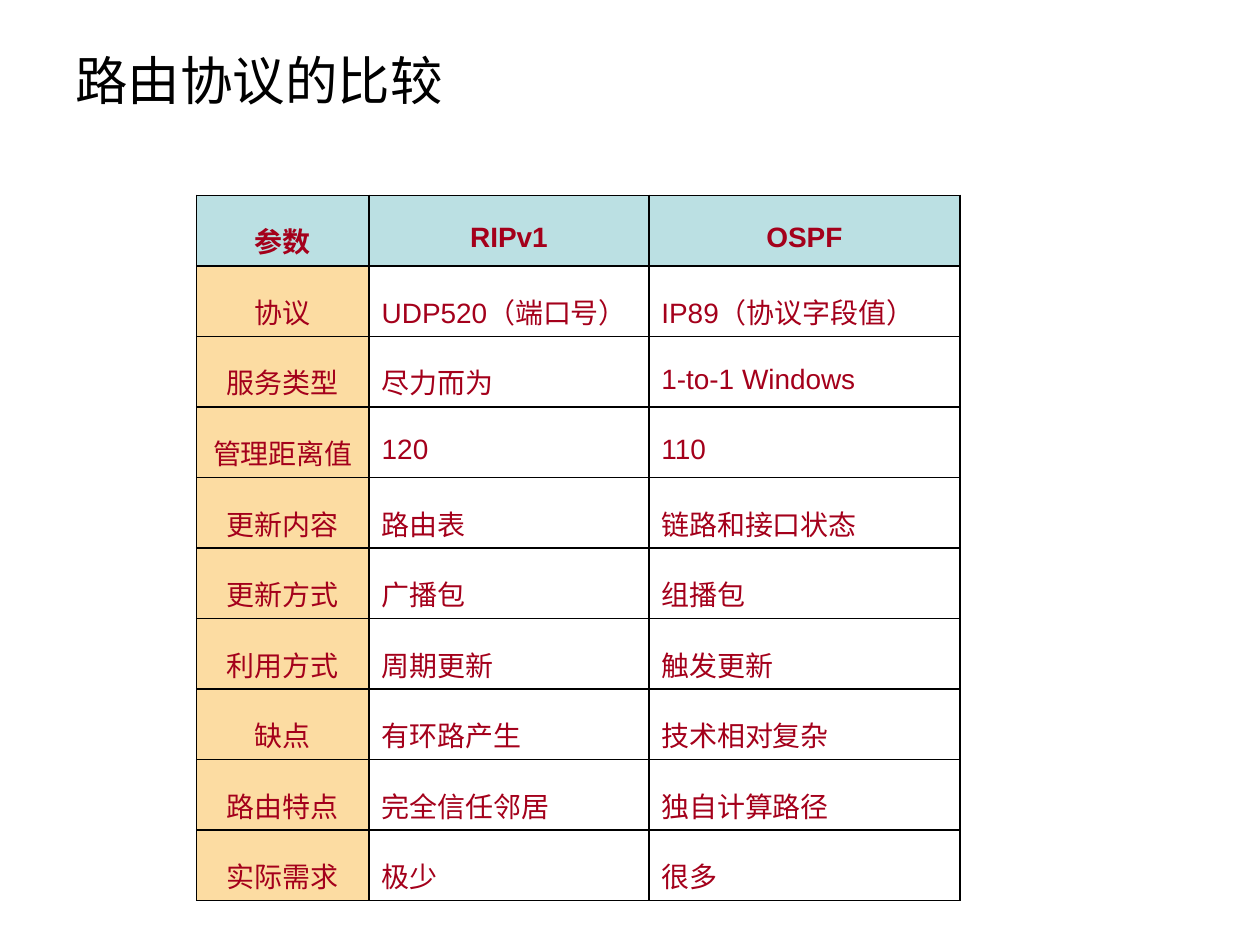
from lxml import etree
from pptx import Presentation
from pptx.dml.color import RGBColor
from pptx.enum import text
from pptx.oxml import ns
from pptx.util import Inches, Pt

BLACK = RGBColor(0x00, 0x00, 0x00)
RED = RGBColor(0xA4, 0x00, 0x1B)
HEADER_BLUE = RGBColor(0xBB, 0xE0, 0xE3)
LABEL_ORANGE = RGBColor(0xFC, 0xDC, 0xA2)

TITLE = "路由协议的比较"
PROTOCOLS = [
    ("参数", "RIPv1", "OSPF"),
    ("协议", "UDP520（端口号）", "IP89（协议字段值）"),
    ("服务类型", "尽力而为", "1-to-1 Windows"),
    ("管理距离值", "120", "110"),
    ("更新内容", "路由表", "链路和接口状态"),
    ("更新方式", "广播包", "组播包"),
    ("利用方式", "周期更新", "触发更新"),
    ("缺点", "有环路产生", "技术相对复杂"),
    ("路由特点", "完全信任邻居", "独自计算路径"),
    ("实际需求", "极少", "很多"),
]
COLUMN_WIDTHS = [1.37, 2.22, 2.47]
ROW_HEIGHT = 0.56


def write(frame, words, size, color, bold=False, align=text.PP_ALIGN.LEFT, spacing=1.0):
    frame.word_wrap = True
    paragraph = frame.paragraphs[0]
    paragraph.alignment = align
    paragraph.line_spacing = spacing
    run = paragraph.add_run()
    run.text = words
    run.font.name = "Arial"
    run.font.size = Pt(size)
    run.font.bold = bold
    run.font.color.rgb = color


def add_borders(cell, color, width):
    properties = cell._tc.get_or_add_tcPr()
    for side in ("lnL", "lnR", "lnT", "lnB"):
        line = etree.SubElement(properties, ns.qn(f"a:{side}"), w=str(Pt(width)))
        fill = etree.SubElement(line, ns.qn("a:solidFill"))
        etree.SubElement(fill, ns.qn("a:srgbClr"), val=str(color))


def fill_cell(cell, words, is_header, is_label):
    cell.vertical_anchor = text.MSO_ANCHOR.MIDDLE
    cell.margin_left = cell.margin_right = Inches(0.1)
    cell.margin_top = cell.margin_bottom = Inches(0.04)
    centered = is_header or is_label
    write(cell.text_frame, words, 16, RED, bold=is_header, spacing=1.5,
          align=text.PP_ALIGN.CENTER if centered else text.PP_ALIGN.LEFT)
    add_borders(cell, BLACK, 1)
    if centered:
        cell.fill.solid()
        cell.fill.fore_color.rgb = HEADER_BLUE if is_header else LABEL_ORANGE
    else:
        cell.fill.background()


def main():
    deck = Presentation()
    deck.slide_width, deck.slide_height = Inches(10), Inches(7.5)
    slide = deck.slides.add_slide(deck.slide_layouts[6])

    title = slide.shapes.add_textbox(Inches(0.5), Inches(0.21), Inches(8.2), Inches(0.85))
    title.text_frame.vertical_anchor = text.MSO_ANCHOR.MIDDLE
    write(title.text_frame, TITLE, 30, BLACK)

    comparison = slide.shapes.add_table(
        len(PROTOCOLS), len(COLUMN_WIDTHS), Inches(1.56), Inches(1.55),
        Inches(sum(COLUMN_WIDTHS)), Inches(ROW_HEIGHT * len(PROTOCOLS))).table
    comparison.horz_banding = False
    for column, width in zip(comparison.columns, COLUMN_WIDTHS):
        column.width = Inches(width)
    for r, values in enumerate(PROTOCOLS):
        comparison.rows[r].height = Inches(ROW_HEIGHT)
        for c, words in enumerate(values):
            fill_cell(comparison.cell(r, c), words, is_header=r == 0, is_label=c == 0)

    deck.save("out.pptx")


if __name__ == "__main__":
    main()
